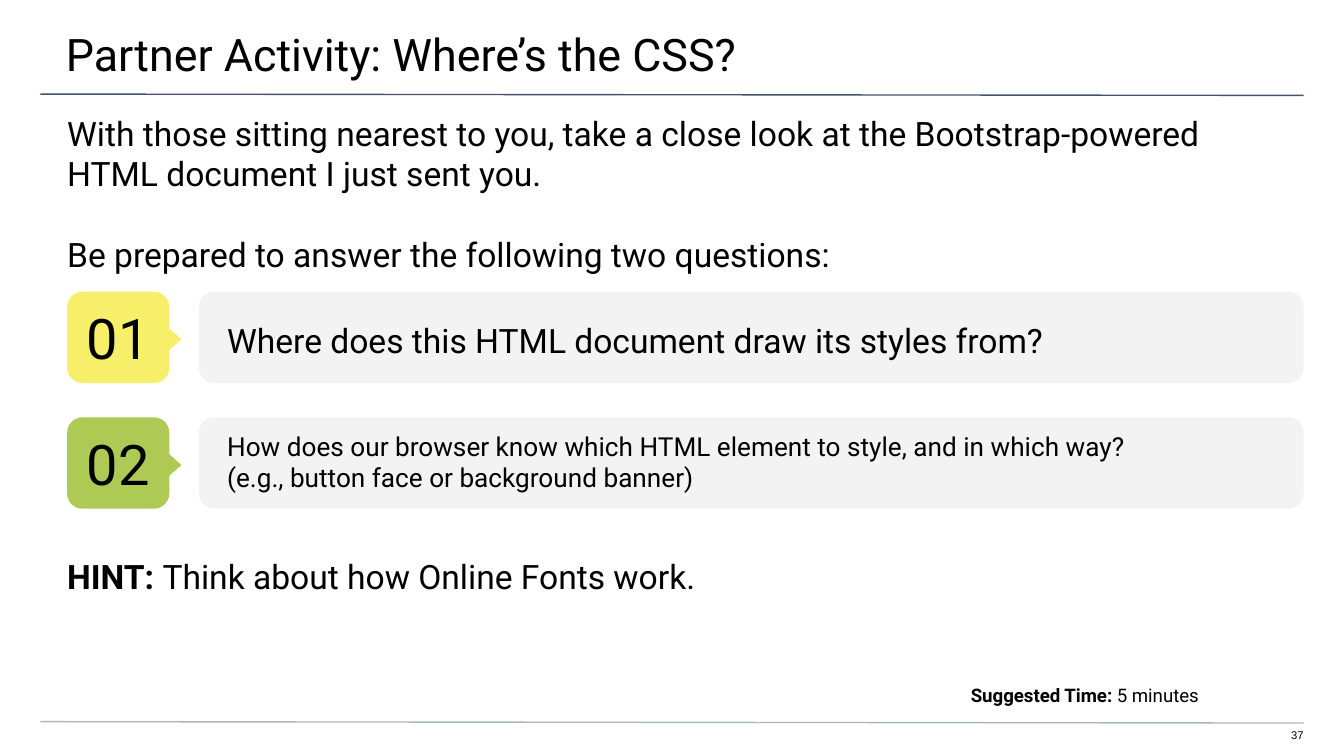
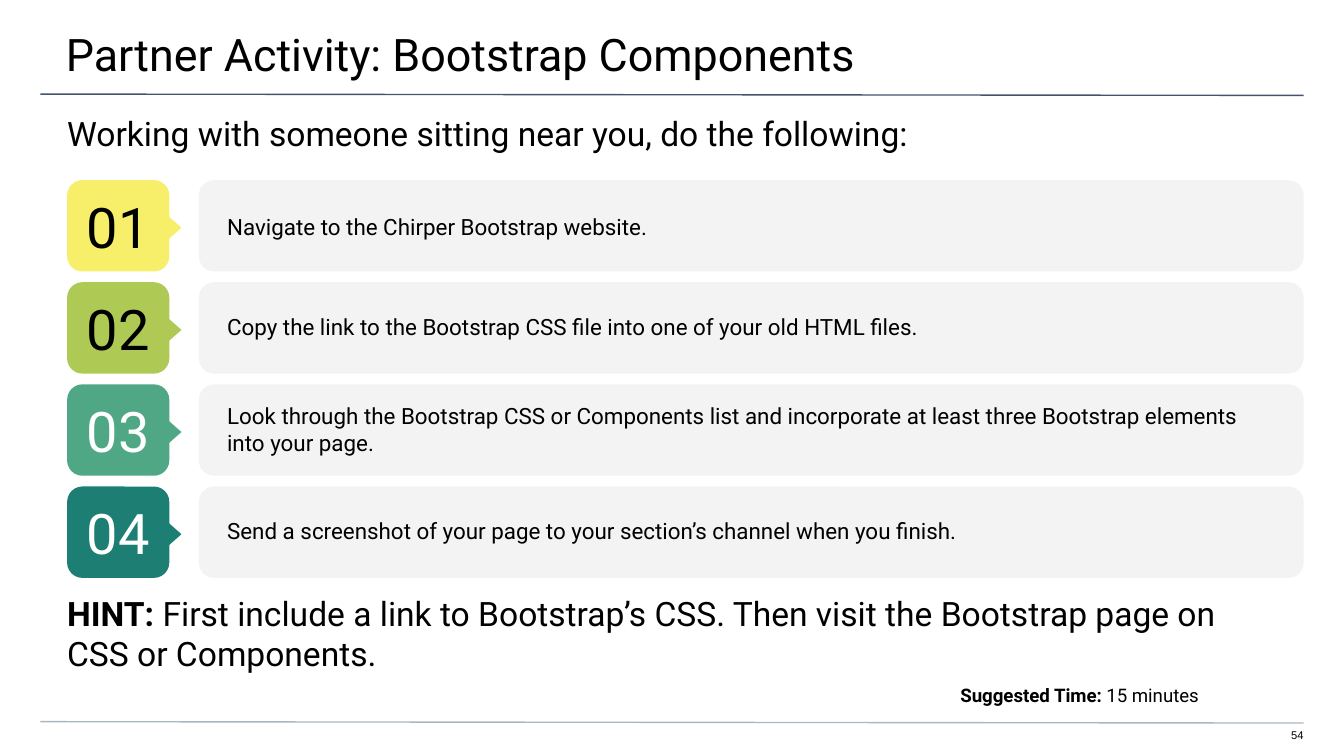
from lxml import etree
from pptx import Presentation
from pptx import util as u
from pptx.dml.color import RGBColor
from pptx.enum import shapes, text
from pptx.oxml.ns import qn

WIDTH, HEIGHT = u.Inches(10), u.Inches(5.625)
CELL = WIDTH / 100  # grid of 100 columns; rows have the same size

COLORS = {
    "text": "000000", "light": "FFFFFF", "bar": "F3F3F3",
    "title rule": "44546A", "footer rule": "A9B7C0",
}
# Fill and number colour of the successive steps
BADGES = [("F7EF6A", "text"), ("AFCA54", "text"),
          ("4FA786", "light"), ("1D7E74", "light")]

LEFT, CENTER, RIGHT = (text.PP_ALIGN.LEFT, text.PP_ALIGN.CENTER,
                       text.PP_ALIGN.RIGHT)
TOP, MIDDLE = text.MSO_ANCHOR.TOP, text.MSO_ANCHOR.MIDDLE
FULL_WIDTH = 100.3
STEP_HEIGHT = 6.8


def cells(*values):
    return [u.Emu(round(value * CELL)) for value in values]


class Deck:
    def __init__(self):
        self.presentation = Presentation()
        self.presentation.slide_width = WIDTH
        self.presentation.slide_height = HEIGHT
        self.slide = None

    def color(self, name):
        return RGBColor.from_string(COLORS.get(name, name))

    def add_slide(self, title, number, minutes):
        layout = self.presentation.slide_layouts.get_by_name("Title Only")
        self.slide = self.presentation.slides.add_slide(layout)
        self.rule(53.7, "footer rule")
        self.rule(7, "title rule")

        placeholder = self.slide.shapes.title
        self.place(placeholder, (-0.1, 0, FULL_WIDTH, 5.8))
        self.fill_text(placeholder, [[(title, False)]], size=24,
                       insets=(5, 2, 3, 1))
        self.text_box((-0.1, 50.8, FULL_WIDTH, 2.9),
                      [[("Suggested Time:", True),
                        (f" {minutes} minutes", False)]],
                      size=10, insets=(12, 0.1, 11, 0), align=RIGHT)
        self.text_box((94.1, 54.2, 2.9, 1.2), [[(str(number), False)]],
                      size=6, insets=(0, 0, 0, 1), align=RIGHT, font="Arial")

    def rule(self, row, color):
        line = self.slide.shapes.add_connector(
            shapes.MSO_CONNECTOR.STRAIGHT, *cells(3, row, 97, row + 0.1))
        line.line.color.rgb = self.color(color)
        line.line.width = u.Pt(0.75)
        etree.SubElement(line._element.spPr, qn("a:effectLst"))

    def place(self, shape, box):
        for name, value in zip(("left", "top", "width", "height"), cells(*box)):
            setattr(shape, name, value)

    def text_box(self, box, paragraphs, **style):
        shape = self.slide.shapes.add_textbox(*cells(*box))
        self.fill_text(shape, paragraphs, **style)

    def fill_text(self, shape, paragraphs, size, insets, align=LEFT, anchor=TOP,
                  color="text", font="Roboto", gaps=()):
        """Each paragraph is a list of (words, bold); gaps are points between them."""
        frame = shape.text_frame
        left, top, right, bottom = cells(*insets)
        frame_format = {
            "word_wrap": True, "auto_size": text.MSO_AUTO_SIZE.NONE,
            "vertical_anchor": anchor, "margin_left": left, "margin_top": top,
            "margin_right": right, "margin_bottom": bottom,
        }
        for name, value in frame_format.items():
            setattr(frame, name, value)
        for index, runs in enumerate(paragraphs):
            paragraph = frame.add_paragraph() if index else frame.paragraphs[0]
            paragraph.alignment = align
            if index and gaps:
                paragraph.space_before = u.Pt(gaps[index - 1])
            for words, bold in runs:
                for line_number, line in enumerate(words.split("\n")):
                    if line_number:
                        paragraph.add_line_break()
                    run = paragraph.add_run()
                    run.text = line
                    font_format = {"name": font, "size": u.Pt(size), "bold": bold}
                    for name, value in font_format.items():
                        setattr(run.font, name, value)
                    run.font.color.rgb = self.color(color)

    def block(self, kind, box, fill):
        shape = self.slide.shapes.add_shape(kind, *cells(*box))
        shape.shadow.inherit = False
        shape.fill.solid()
        shape.fill.fore_color.rgb = self.color(fill)
        shape.line.fill.background()
        return shape

    def step(self, index, row, words, size, drop):
        """Numbered badge with a pointer, and a bar whose text sits `drop` rows lower."""
        fill, number_color = BADGES[index]
        rounded = shapes.MSO_SHAPE.ROUNDED_RECTANGLE
        self.block(rounded, (14.8, row, 82.2, STEP_HEIGHT), "bar")
        badge = self.block(rounded, (5, row, 7.6, STEP_HEIGHT), fill)
        self.fill_text(badge, [[(f"{index + 1:02}", False)]], size=30,
                       insets=(1, 1, 1, 1), align=CENTER, anchor=MIDDLE,
                       color=number_color)
        pointer = self.block(shapes.MSO_SHAPE.FLOWCHART_EXTRACT,
                             (10.6, row + 2.5, 3.7, 2.1), fill)
        pointer.rotation = 90
        self.text_box((-0.1, row + drop, FULL_WIDTH, 6.6), [[(words, False)]],
                      size=size, insets=(17, 0, 5, 0), anchor=MIDDLE)

    def steps(self, first_row, pitch, items):
        for index, (words, size, drop) in enumerate(items):
            self.step(index, first_row + index * pitch, words, size, drop)

    def intro(self, paragraphs, gaps=()):
        self.text_box((0, 7.4, 100, 4), paragraphs, size=18,
                      insets=(5, 1, 5, 0), gaps=gaps)


def add_css_questions(deck):
    deck.add_slide("Partner Activity: Where’s the CSS?", 37, 5)
    deck.intro([
        [("With those sitting nearest to you, take a close look at the "
          "Bootstrap-powered HTML document I just sent you.", False)],
        [("Be prepared to answer the following two questions:", False)],
        [("HINT: ", True), ("Think about how Online Fonts work.", False)],
    ], gaps=(21.6, 151))
    deck.steps(21.7, 9.35, [
        ("Where does this HTML document draw its styles from?", 18, 0.3),
        ("How does our browser know which HTML element to style, and in which "
         "way?\n(e.g., button face or background banner)", 14, 0),
    ])


def add_bootstrap_components(deck):
    deck.add_slide("Partner Activity: Bootstrap Components", 54, 15)
    deck.intro([[("Working with someone sitting near you, do the following:",
                  False)]])
    deck.steps(13.4, 7.6, [
        ("Navigate to the Chirper Bootstrap website.", 12, 0.2),
        ("Copy the link to the Bootstrap CSS file into one of your old HTML "
         "files.", 12, 0),
        ("Look through the Bootstrap CSS or Components list and incorporate at "
         "least three Bootstrap elements into your page.", 12, 0),
        ("Send a screenshot of your page to your section’s channel when you "
         "finish.", 12, 0),
    ])
    deck.text_box((0, 43.8, 97, 6.6), [[
        ("HINT:", True),
        (" First include a link to Bootstrap’s CSS. Then visit the Bootstrap "
         "page on CSS or Components.", False),
    ]], size=18, insets=(5, 0, 5, 0), anchor=MIDDLE)


def main():
    deck = Deck()
    add_css_questions(deck)
    add_bootstrap_components(deck)
    deck.presentation.save("out.pptx")


if __name__ == "__main__":
    main()
